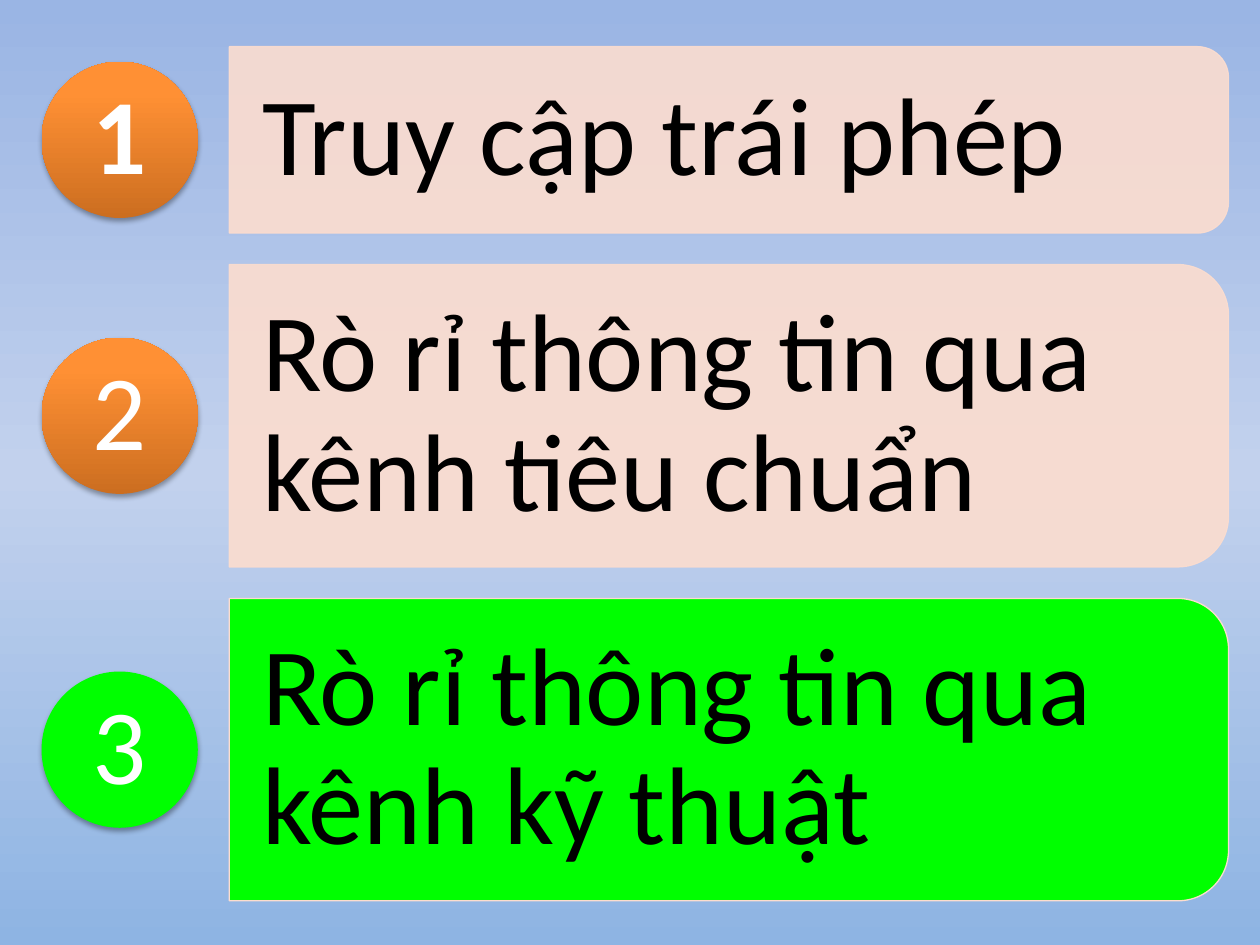
from lxml.etree import SubElement
from pptx import Presentation
from pptx.dml.color import RGBColor
from pptx.enum.shapes import MSO_SHAPE
from pptx.enum.text import MSO_ANCHOR, PP_ALIGN
from pptx.oxml.ns import qn
from pptx.util import Inches, Pt

LEFT, WIDE, TOP, GAP = 1.82, 7.93, 0.37, 0.25
DISC, DISC_X = 1.24, 0.33
PEACH, GREEN = "FCDDCF", "00FF00"
SKY = [(0, "9AB5E4"), (50, "C2D1ED"), (100, "8EB4E3")]
AMBER = [(0, "CC6E20"), (80, "FF9034"), (100, "FF9136")]
ROWS = [
    ("1", "Truy cập trái phép", 1.48, False),
    ("2", "Rò rỉ thông tin qua kênh tiêu chuẩn", 2.4, False),
    ("3", "Rò rỉ thông tin qua kênh kỹ thuật", 2.4, True),
]


def tint(code):
    """Turn a hex string into a colour."""
    return RGBColor.from_string(code)


def add(node, tag, **attrs):
    """Append a child element with attributes."""
    return SubElement(node, qn(tag), {k: str(v) for k, v in attrs.items()})


def fade(fill, root, stops, angle):
    """Swap the first solid fill under root for a linear gradient."""
    fill.solid()
    old = root.find(".//" + qn("a:solidFill"))
    grad = add(root, "a:gradFill", rotWithShape=1)
    old.getparent().replace(old, grad)
    group = add(grad, "a:gsLst")
    for place, code in stops:
        stop = add(group, "a:gs", pos=place * 1000)
        add(stop, "a:srgbClr", val=code)
    add(grad, "a:lin", ang=angle * 60000, scaled=0)


def veil(shape, share):
    """Set the opacity of a shape's solid fill and line."""
    for node in shape._element.spPr.iter(qn("a:srgbClr")):
        add(node, "a:alpha", val=share * 1000)


def shade(shape):
    """Give a shape a soft shadow below it."""
    effects = shape._element.spPr.find(qn("a:effectLst"))
    cast = add(effects, "a:outerShdw", blurRad=Pt(3.1), dist=Pt(1.8),
               dir=90 * 60000, rotWithShape=0)
    color = add(cast, "a:srgbClr", val="000000")
    add(color, "a:alpha", val=35000)


def panel(slide, mid, tall, live):
    """Draw a row's panel, rounded on its right side."""
    x, y = LEFT + (WIDE - tall) / 2, mid - WIDE / 2
    shape = slide.shapes.add_shape(
        MSO_SHAPE.ROUND_2_SAME_RECTANGLE,
        Inches(x), Inches(y), Inches(tall), Inches(WIDE))
    shape.rotation = 90
    shape.shadow.inherit = False
    shape.fill.solid()
    shape.fill.fore_color.rgb = tint(GREEN if live else PEACH)
    shape.line.color.rgb = tint(PEACH)
    shape.line.width = Pt(0.75)
    if not live:
        veil(shape, 90)


def disc(slide, mid, live):
    """Draw the round badge of a row."""
    shape = slide.shapes.add_shape(
        MSO_SHAPE.OVAL, Inches(DISC_X), Inches(mid - DISC / 2),
        Inches(DISC), Inches(DISC))
    shape.shadow.inherit = False
    shape.line.fill.background()
    if live:
        shape.fill.solid()
        shape.fill.fore_color.rgb = tint(GREEN)
    else:
        fade(shape.fill, shape._element.spPr, AMBER, 270)
    shade(shape)


def label(slide, text, box, size, code, pads=(0, 0), align=PP_ALIGN.LEFT,
          bold=False):
    """Write one run of text in a box."""
    frame = slide.shapes.add_textbox(*map(Inches, box)).text_frame
    frame.word_wrap = True
    frame.vertical_anchor = MSO_ANCHOR.MIDDLE
    frame.margin_left = frame.margin_right = Inches(pads[0])
    frame.margin_top = frame.margin_bottom = Inches(pads[1])
    para = frame.paragraphs[0]
    para.alignment = align
    para.line_spacing = 0.9
    run = para.add_run()
    run.text = text
    run.font.name = "Calibri"
    run.font.size = Pt(size)
    run.font.bold = bold
    run.font.color.rgb = tint(code)


def row(slide, top, mark, text, tall, live):
    """Draw one numbered row."""
    mid, trim, side = top + tall / 2, tall * 0.05, 0.88
    panel(slide, mid, tall, live)
    label(slide, text, (LEFT, top + trim, WIDE - trim, tall - 2 * trim),
          63, "000000", pads=(0.26, 0.17))
    disc(slide, mid, live)
    label(slide, mark,
          (DISC_X + (DISC - side) / 2, mid - side / 2, side, side),
          61, "FFFFFF", align=PP_ALIGN.CENTER, bold=mark == "1")


def main():
    """Build and save the slide."""
    deck = Presentation()
    deck.slide_width, deck.slide_height = Inches(10), Inches(7.5)
    slide = deck.slides.add_slide(deck.slide_layouts[6])
    fade(slide.background.fill, slide._element, SKY, 90)
    top = TOP
    for mark, text, tall, live in ROWS:
        row(slide, top, mark, text, tall, live)
        top += tall + GAP
    deck.save("out.pptx")


if __name__ == "__main__":
    main()
